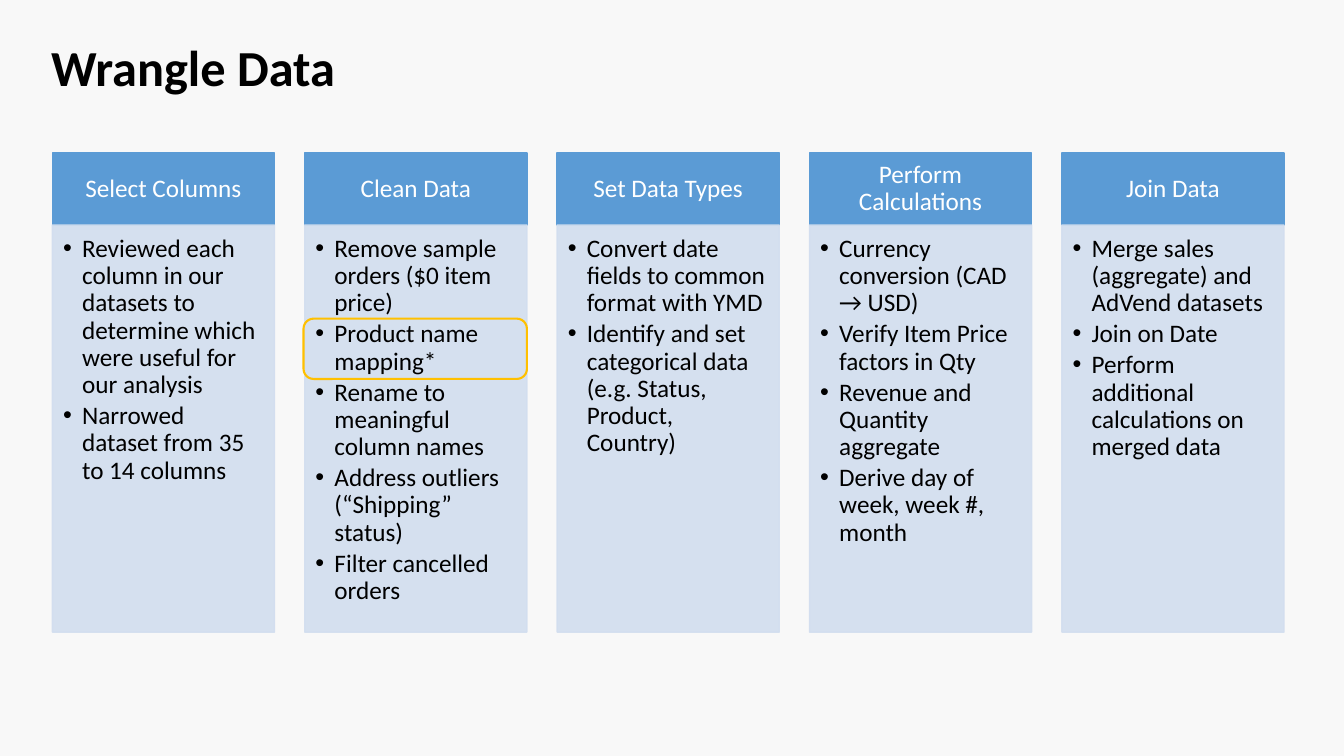
"""Build the Wrangle Data slide: five steps, each a header above a bullet list."""
from lxml import etree
from pptx import Presentation
from pptx.dml.color import RGBColor
from pptx.enum import shapes, text
from pptx.oxml.ns import qn
from pptx.util import Cm, Pt

TITLE = "Wrangle Data"
STEPS = {
    "Select Columns": [
        "Reviewed each column in our datasets to determine which were useful for our analysis",
        "Narrowed dataset from 35 to 14 columns",
    ],
    "Clean Data": [
        "Remove sample orders ($0 item price)",
        "Product name mapping*",
        "Rename to meaningful column names",
        "Address outliers (“Shipping” status)",
        "Filter cancelled orders",
    ],
    "Set Data Types": [
        "Convert date fields to common format with YMD",
        "Identify and set categorical data (e.g. Status, Product, Country)",
    ],
    "Perform Calculations": [
        "Currency conversion (CAD → USD)",
        "Verify Item Price factors in Qty",
        "Revenue and Quantity aggregate",
        "Derive day of week, week #, month",
    ],
    "Join Data": [
        "Merge sales (aggregate) and AdVend datasets",
        "Join on Date",
        "Perform additional calculations on merged data",
    ],
}

BACKDROP = RGBColor(0xF8, 0xF8, 0xF8)
BLUE = RGBColor(0x5B, 0x9B, 0xD5)
PALE_BLUE = RGBColor(0xD2, 0xDE, 0xEF)
GOLD = RGBColor(0xFF, 0xC0, 0x00)
WHITE = RGBColor(0xFF, 0xFF, 0xFF)
BLACK = RGBColor(0, 0, 0)

LEFT, PITCH, WIDTH = 1.32, 6.36, 5.6
HEADER_TOP, HEADER_HEIGHT, LIST_HEIGHT = 3.86, 1.81, 10.26
INDENT = Cm(0.48)

HEADER_FRAME = dict(margin_left=Cm(0.36), margin_right=Cm(0.36), margin_top=Cm(0.2),
                    margin_bottom=Cm(0.2), vertical_anchor=text.MSO_ANCHOR.MIDDLE)
LIST_FRAME = dict(margin_left=Cm(0.27), margin_right=Cm(0.36), margin_top=Cm(0.27),
                  margin_bottom=Cm(0.41), vertical_anchor=text.MSO_ANCHOR.TOP)
TITLE_FRAME = dict(vertical_anchor=text.MSO_ANCHOR.MIDDLE)
HEADER_PARAGRAPH = dict(alignment=text.PP_ALIGN.CENTER, line_spacing=0.9)
LIST_PARAGRAPH = dict(alignment=text.PP_ALIGN.LEFT, line_spacing=0.9, space_after=Pt(2.7))
TITLE_PARAGRAPH = dict(line_spacing=0.9)
STEP_FONT = dict(name="Calibri", size=Pt(18))
TITLE_FONT = dict(name="Calibri", size=Pt(36), bold=True)


def assign(target, values):
    for key, value in values.items():
        setattr(target, key, value)


def write(frame, lines, frame_format, paragraph_format, font_format, color):
    assign(frame, dict(word_wrap=True, **frame_format))
    for number, line in enumerate(lines):
        paragraph = frame.paragraphs[0] if number == 0 else frame.add_paragraph()
        assign(paragraph, paragraph_format)
        run = paragraph.add_run()
        run.text = line
        assign(run.font, font_format)
        run.font.color.rgb = color


def add_box(preset, left, top, width, height, line, weight, fill=None):
    box = slide.shapes.add_shape(preset, Cm(left), Cm(top), Cm(width), Cm(height))
    box.shadow.inherit = False
    if fill is None:
        box.fill.background()
    else:
        box.fill.solid()
        box.fill.fore_color.rgb = fill
    box.line.color.rgb = line
    box.line.width = Pt(weight)
    return box


def soften(box, percent):
    for color in box.element.spPr.iter(qn("a:srgbClr")):
        etree.SubElement(color, qn("a:alpha"), val=str(percent * 1000))


def add_bullets(frame):
    for paragraph in frame.paragraphs:
        properties = paragraph._p.get_or_add_pPr()
        properties.set("marL", str(INDENT))
        properties.set("indent", str(-INDENT))
        etree.SubElement(properties, qn("a:buFont"), typeface="Arial")
        etree.SubElement(properties, qn("a:buChar"), char="•")


deck = Presentation()
deck.slide_width, deck.slide_height = Cm(33.87), Cm(19.05)
slide = deck.slides.add_slide(deck.slide_layouts[6])
slide.background.fill.solid()
slide.background.fill.fore_color.rgb = BACKDROP

title = slide.shapes.add_textbox(Cm(1.04), Cm(0.41), Cm(29.21), Cm(2.74))
write(title.text_frame, [TITLE], TITLE_FRAME, TITLE_PARAGRAPH, TITLE_FONT, BLACK)

for column, (step, tasks) in enumerate(STEPS.items()):
    left = LEFT + column * PITCH
    header = add_box(shapes.MSO_SHAPE.RECTANGLE, left, HEADER_TOP, WIDTH, HEADER_HEIGHT,
                     BLUE, 1, BLUE)
    write(header.text_frame, [step], HEADER_FRAME, HEADER_PARAGRAPH, STEP_FONT, WHITE)
    task_list = add_box(shapes.MSO_SHAPE.RECTANGLE, left, HEADER_TOP + HEADER_HEIGHT, WIDTH,
                        LIST_HEIGHT, PALE_BLUE, 1, PALE_BLUE)
    soften(task_list, 90)
    write(task_list.text_frame, tasks, LIST_FRAME, LIST_PARAGRAPH, STEP_FONT, BLACK)
    add_bullets(task_list.text_frame)

add_box(shapes.MSO_SHAPE.ROUNDED_RECTANGLE, LEFT + PITCH - 0.03, 8.03, WIDTH + 0.03, 1.52, GOLD, 1.5)

deck.save("out.pptx")
